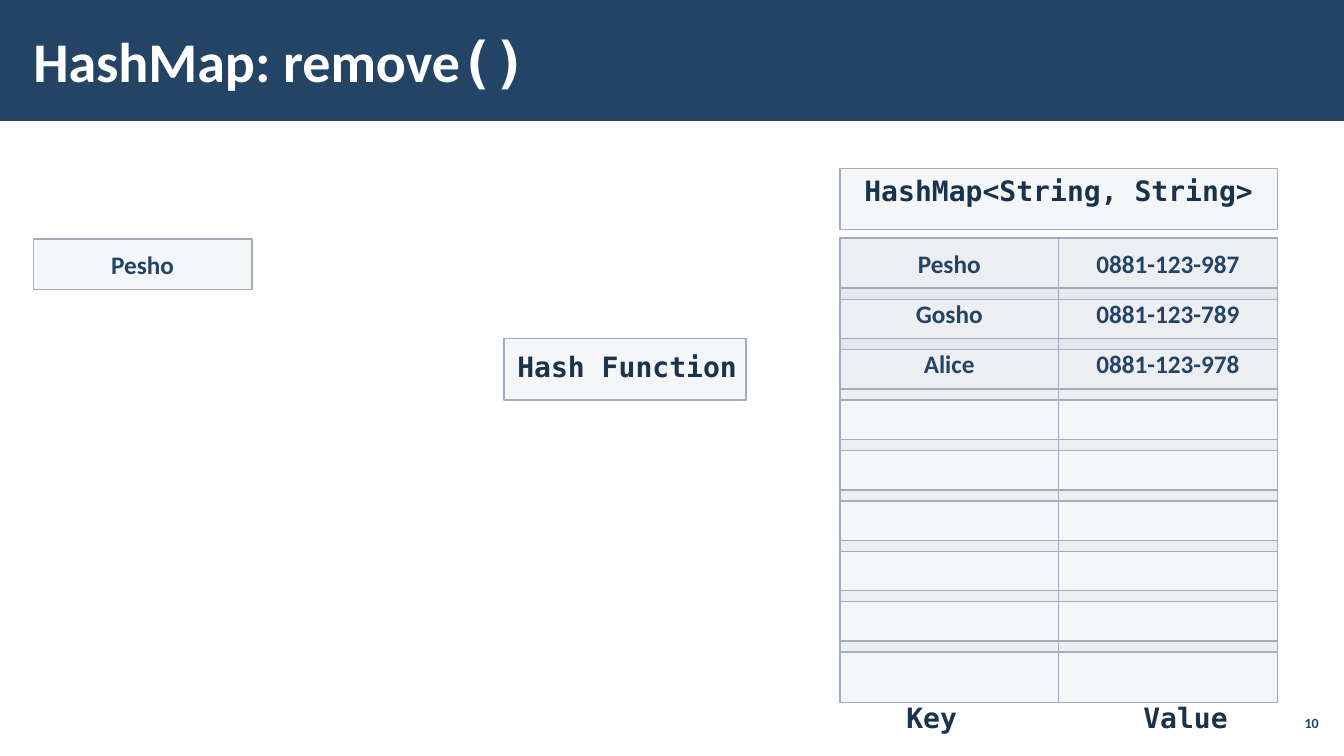
from lxml import etree
from pptx import Presentation
from pptx import util as u
from pptx.dml import color
from pptx.enum import shapes, text
from pptx.oxml import ns

SANS, MONO = "Calibri", "DejaVu Sans Mono"
NAVY, INK, WHITE, CELL, EDGE = "234465", "1A334C", "FFFFFF", "C2C7D2", "A3ABBC"
TITLE = [("HashMap: remove", SANS), ("()", MONO)]
ENTRIES = [
    ("Pesho", "0881-123-987"),
    ("Gosho", "0881-123-789"),
    ("Alice", "0881-123-978"),
]
SLOTS = 9
LEFT, TOP, PITCH = 8.33, 2.36, 0.5
CELL_WIDTH, SLOT_HEIGHT = 2.17, 0.61


def rgb(value):
    return color.RGBColor.from_string(value)


def place(left, top, width, height):
    return [u.Inches(n) for n in (left, top, width, height)]


def write(box, runs, size, ink, align, anchor, insets):
    frame = box.text_frame
    frame.word_wrap = True
    frame.auto_size = text.MSO_AUTO_SIZE.NONE
    frame.vertical_anchor = anchor
    frame.margin_left, frame.margin_top, frame.margin_right, frame.margin_bottom = [
        u.Inches(n) for n in insets]
    para = frame.paragraphs[0]
    para.alignment = align
    for words, face in runs:
        span = para.add_run()
        span.text = words
        span.font.name = face
        span.font.size = u.Pt(size)
        span.font.bold = True
        span.font.color.rgb = rgb(ink)
    return para


def rectangle(page, bounds, fill, edge=None, opacity=None):
    box = page.shapes.add_shape(shapes.MSO_SHAPE.RECTANGLE, *place(*bounds))
    box.shadow.inherit = False
    box.fill.solid()
    box.fill.fore_color.rgb = rgb(fill)
    if opacity:
        tint = box.element.spPr.find(ns.qn("a:solidFill"))[0]
        etree.SubElement(tint, ns.qn("a:alpha"), val=str(opacity * 1000))
    if edge:
        box.line.color.rgb = rgb(edge)
        box.line.width = u.Pt(1)
    else:
        box.line.fill.background()
    return box


def panel(page, bounds, words=None):
    box = rectangle(page, bounds, CELL, EDGE, 15)
    if words:
        write(box, [(words, SANS)], 18, NAVY, text.PP_ALIGN.CENTER,
              text.MSO_ANCHOR.MIDDLE, (0.2, 0.1, 0.2, 0.1))


def label(page, bounds, words, align=text.PP_ALIGN.CENTER, inset=0.1):
    box = page.shapes.add_textbox(*place(*bounds))
    return write(box, [(words, MONO)], 20, INK, align,
                 text.MSO_ANCHOR.TOP, (inset, 0.05, 0.1, 0.05))


def main():
    deck = Presentation()
    deck.slide_width, deck.slide_height = u.Inches(13.33), u.Inches(7.5)
    page = deck.slides.add_slide(deck.slide_layouts[5])

    title = page.shapes.title
    title.left, title.top, title.width, title.height = place(0.21, 0.11, 10.4, 0.97)
    write(title, TITLE, 40, WHITE, text.PP_ALIGN.LEFT,
          text.MSO_ANCHOR.MIDDLE, (0.12, 0.04, 0.12, 0.04))
    band = rectangle(page, (0, 0, 13.33, 1.2), NAVY)
    title.element.addprevious(band.element)

    panel(page, (LEFT, 1.67, 2 * CELL_WIDTH, SLOT_HEIGHT))
    label(page, (LEFT, 1.67, 2 * CELL_WIDTH, 0.44), "HashMap<String, String>")

    for slot in range(SLOTS):
        for column in range(2):
            panel(page, (LEFT + column * CELL_WIDTH, TOP + slot * PITCH,
                         CELL_WIDTH, SLOT_HEIGHT))
    for slot, entry in enumerate(ENTRIES):
        for column, words in enumerate(entry):
            panel(page, (LEFT + column * CELL_WIDTH, TOP + slot * PITCH,
                         CELL_WIDTH, PITCH), words)

    captions = label(page, (LEFT, 6.9, 2 * CELL_WIDTH, 0.44), "Key\tValue",
                     text.PP_ALIGN.LEFT, 0.66)
    stops = etree.SubElement(captions._p.get_or_add_pPr(), ns.qn("a:tabLst"))
    etree.SubElement(stops, ns.qn("a:tab"), pos=str(u.Inches(2.35)), algn="l")

    panel(page, (5, 3.36, 2.4, SLOT_HEIGHT))
    label(page, (4.72, 3.42, 3, 0.77), "Hash Function")
    panel(page, (0.33, 2.37, CELL_WIDTH, PITCH), "Pesho")

    number = page.shapes.add_textbox(*place(12.65, 7, 0.47, 0.34))
    write(number, [("10", SANS)], 10, NAVY, text.PP_ALIGN.RIGHT,
          text.MSO_ANCHOR.MIDDLE, (0.04, 0.04, 0.04, 0.04))
    deck.save("out.pptx")


if __name__ == "__main__":
    main()
